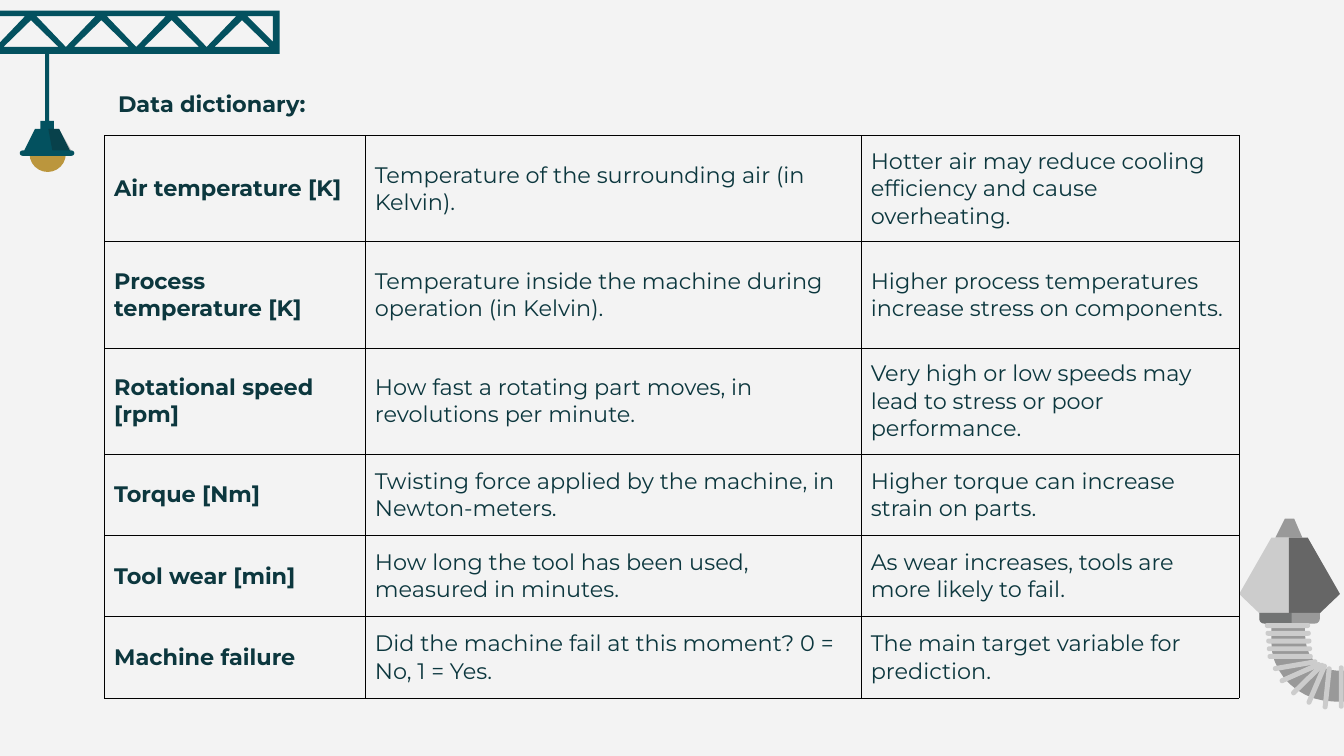
import math
from dataclasses import dataclass

import pptx
import pptx.dml.color
import pptx.enum.shapes
import pptx.enum.text
import pptx.oxml
import pptx.oxml.ns
import pptx.util

RGBColor = pptx.dml.color.RGBColor
PAPER = RGBColor(0xF3, 0xF3, 0xF3)
INK = RGBColor(0x0C, 0x37, 0x3E)
TEAL = RGBColor(0x03, 0x51, 0x5F)
AMBER = RGBColor(0xBB, 0x96, 0x3D)
SHADE = RGBColor(0x16, 0x1D, 0x1E)
LIGHT_GREY = RGBColor(0xCC, 0xCC, 0xCC)
MID_GREY = RGBColor(0x99, 0x99, 0x99)
DARK_GREY = RGBColor(0x66, 0x66, 0x66)

# The slide is a grid of square cells; every length below counts cells.
SLIDE_WIDTH = pptx.util.Inches(10)
GRID_COLUMNS, GRID_ROWS = 1000, 562.5
CELL = SLIDE_WIDTH / GRID_COLUMNS

Point = tuple[float, float]
FONT = {"name": "Montserrat", "size": pptx.util.Pt(12)}
MIDDLE = pptx.enum.text.MSO_ANCHOR.MIDDLE


@dataclass(frozen=True)
class Variable:
    name: str
    meaning: str
    effect: str


@dataclass(frozen=True)
class Rib:
    start: Point
    end: Point


VARIABLES = [
    Variable("Air temperature [K]", "Temperature of the surrounding air (in Kelvin).",
             "Hotter air may reduce cooling efficiency and cause overheating."),
    Variable("Process temperature [K]", "Temperature inside the machine during operation (in Kelvin).",
             "Higher process temperatures increase stress on components."),
    Variable("Rotational speed [rpm]", "How fast a rotating part moves, in revolutions per minute.",
             "Very high or low speeds may lead to stress or poor performance."),
    Variable("Torque [Nm]", "Twisting force applied by the machine, in Newton-meters.",
             "Higher torque can increase strain on parts."),
    Variable("Tool wear [min]", "How long the tool has been used, measured in minutes.",
             "As wear increases, tools are more likely to fail."),
    Variable("Machine failure", "Did the machine fail at this moment? 0 = No, 1 = Yes.",
             "The main target variable for prediction."),
]
COLUMN_WIDTHS = [194, 369, 281]
ROW_HEIGHTS = [79] * 3 + [60.5] * 3

STRAIGHT_RIBS = [Rib((943 + i / 2, 465.5 + 5.75 * i), (973 + i / 2, 465.5 + 5.75 * i))
                 for i in range(5)]
BENT_RIBS = [
    Rib((949, 497.5), (978.5, 492.5)),
    Rib((954, 506.5), (981, 494.5)),
    Rib((962.5, 515.5), (983.5, 495)),
    Rib((974, 522.5), (985.5, 495.7)),
    Rib((986, 526), (989, 497.7)),
    Rib((998, 525.5), (998, 497)),
]


def cells(count: float) -> int:
    return round(count * CELL)


def set_format(target, values: dict) -> None:
    for name, value in values.items():
        setattr(target, name, value)


def curve(*controls: Point, steps: int = 10) -> list[Point]:
    """Points along a cubic Bezier with four control points."""
    weights = (1, 3, 3, 1)
    points = []
    for step in range(steps + 1):
        t = step / steps
        shares = [w * (1 - t) ** (3 - i) * t ** i for i, w in enumerate(weights)]
        points.append(tuple(sum(s * c[axis] for s, c in zip(shares, controls)) for axis in (0, 1)))
    return points


def mirror(points: list[Point], axis: float) -> list[Point]:
    """Points reflected left to right, in reverse order."""
    return [(2 * axis - x, y) for x, y in reversed(points)]


def paint(shape, color: RGBColor, opacity: int = 100) -> None:
    shape.shadow.inherit = False
    shape.line.fill.background()
    shape.fill.solid()
    shape.fill.fore_color.rgb = color
    if opacity < 100:
        for tint in shape.fill._xPr.iter(pptx.oxml.ns.qn("a:srgbClr")):
            tint.append(pptx.oxml.parse_xml(
                f'<a:alpha {pptx.oxml.ns.nsdecls("a")} val="{opacity * 1000}"/>'))


def draw_outline(shapes, contours: list[list[Point]], color: RGBColor, opacity: int = 100) -> None:
    """Fill the first contour, with the others as holes in it."""
    scaled = [[(cells(x), cells(y)) for x, y in contour] for contour in contours]
    builder = shapes.build_freeform(*scaled[0][0])
    for index, contour in enumerate(scaled):
        if index:
            builder.move_to(*contour[0])
        builder.add_line_segments(contour[1:], close=True)
    paint(builder.convert_to_shape(), color, opacity)


def draw_rib(shapes, rib: Rib, radius: float = 1.85) -> None:
    heading = math.atan2(rib.end[1] - rib.start[1], rib.end[0] - rib.start[0])
    points = []
    for (x, y), facing in ((rib.start, heading + math.pi), (rib.end, heading)):
        angles = [facing + math.pi * (step / 8 - 0.5) for step in range(9)]
        points += [(x + radius * math.cos(a), y + radius * math.sin(a)) for a in angles]
    draw_outline(shapes, [points], LIGHT_GREY)


def draw_lamp(shapes) -> None:
    bulb = shapes.add_shape(pptx.enum.shapes.MSO_SHAPE.OVAL, *map(cells, (22, 101, 27, 27)))
    paint(bulb, AMBER)
    half = [(36.5, 40), (36.5, 90), (40, 90), (40, 96), (44, 96), (52, 112)]
    half += curve((53, 112), (56, 112), (56, 116), (53, 116))
    draw_outline(shapes, [half + mirror(half, 35)], TEAL)
    draw_outline(shapes, [[(36, 96), (44, 96), (53, 112), (39, 112)]], SHADE, 30)


def draw_truss(shapes) -> None:
    pitch, top, bottom = 52.35, 12, 35
    contours = [[(-163, 8), (208, 8), (208, 40), (-163, 40)],
                [(-138, top), (-158, 32), (-158, top)],
                [(184, top), (203, 31), (203, top)]]
    for bay in range(7):
        apex = -134 + pitch * bay
        contours.append([(apex, 15), (apex + 20.5, bottom), (apex - 20.5, bottom)])
    for bay in range(6):
        tip = -108 + pitch * bay
        contours.append([(tip - 22, top), (tip + 22, top), (tip, bottom)])
    draw_outline(shapes, contours, TEAL)


def draw_robot_arm(shapes) -> None:
    axis = 959.5
    panel = [(943, 462), (922, 442), (946, 400), (960, 400), (960, 460)]
    hose = curve((993, 522), (967, 522), (946, 502), (946, 478)) + [(946, 464), (971, 464)]
    hose += curve((971, 470), (971, 492), (983, 500), (1000, 499)) + [(1000, 522)]
    collar_left = curve((941, 464), (938, 464), (937, 462), (937, 460)) + [(937, 456)]
    draw_outline(shapes, [[(949, 400), (969, 400), (963, 386), (956, 386)]], MID_GREY)
    draw_outline(shapes, [panel], LIGHT_GREY)
    draw_outline(shapes, [mirror(panel, axis)], DARK_GREY)
    draw_outline(shapes, [hose], MID_GREY)
    draw_outline(shapes, [collar_left + mirror(collar_left, axis)], MID_GREY)
    draw_outline(shapes, [collar_left + [(961, 456), (961, 464)]], SHADE, 30)
    for rib in STRAIGHT_RIBS + BENT_RIBS:
        draw_rib(shapes, rib)


def write(para, text: str, bold: bool) -> None:
    span = para.add_run()
    span.text = text
    set_format(span.font, {**FONT, "bold": bold})
    span.font.color.rgb = INK


def draw_title(shapes) -> None:
    box = shapes.add_textbox(*map(cells, (78, 62, 208, 30)))
    set_format(box.text_frame, {"word_wrap": True, "vertical_anchor": MIDDLE,
                                "auto_size": pptx.enum.text.MSO_AUTO_SIZE.SHAPE_TO_FIT_TEXT})
    write(box.text_frame.paragraphs[0], "Data dictionary:", True)


def add_borders(cell) -> None:
    properties = cell._tc.get_or_add_tcPr()
    for index, side in enumerate("LRTB"):
        properties.insert(index, pptx.oxml.parse_xml(
            f'<a:ln{side} {pptx.oxml.ns.nsdecls("a")} w="{pptx.util.Pt(0.5)}">'
            f'<a:solidFill><a:srgbClr val="000000"/></a:solidFill></a:ln{side}>'))


def draw_dictionary(shapes) -> None:
    size = (sum(COLUMN_WIDTHS), sum(ROW_HEIGHTS))
    table = shapes.add_table(len(VARIABLES), len(COLUMN_WIDTHS),
                             *map(cells, (78, 101, *size))).table
    set_format(table, {"first_row": False, "horz_banding": False})
    for column, width in zip(table.columns, COLUMN_WIDTHS):
        column.width = cells(width)
    margins = {"margin_left": cells(7), "margin_right": cells(7),
               "margin_top": cells(4), "margin_bottom": cells(4)}
    for row, height, variable in zip(table.rows, ROW_HEIGHTS, VARIABLES):
        row.height = cells(height)
        texts = (variable.name, variable.meaning, variable.effect)
        for index, (cell, text) in enumerate(zip(row.cells, texts)):
            set_format(cell, {**margins, "vertical_anchor": MIDDLE})
            cell.fill.background()
            add_borders(cell)
            write(cell.text_frame.paragraphs[0], text, index == 0)


def main() -> None:
    deck = pptx.Presentation()
    set_format(deck, {"slide_width": SLIDE_WIDTH, "slide_height": cells(GRID_ROWS)})
    slide = deck.slides.add_slide(deck.slide_layouts[6])
    slide.background.fill.solid()
    slide.background.fill.fore_color.rgb = PAPER
    for draw in (draw_lamp, draw_truss, draw_robot_arm, draw_title, draw_dictionary):
        draw(slide.shapes)
    deck.save("out.pptx")


if __name__ == "__main__":
    main()
